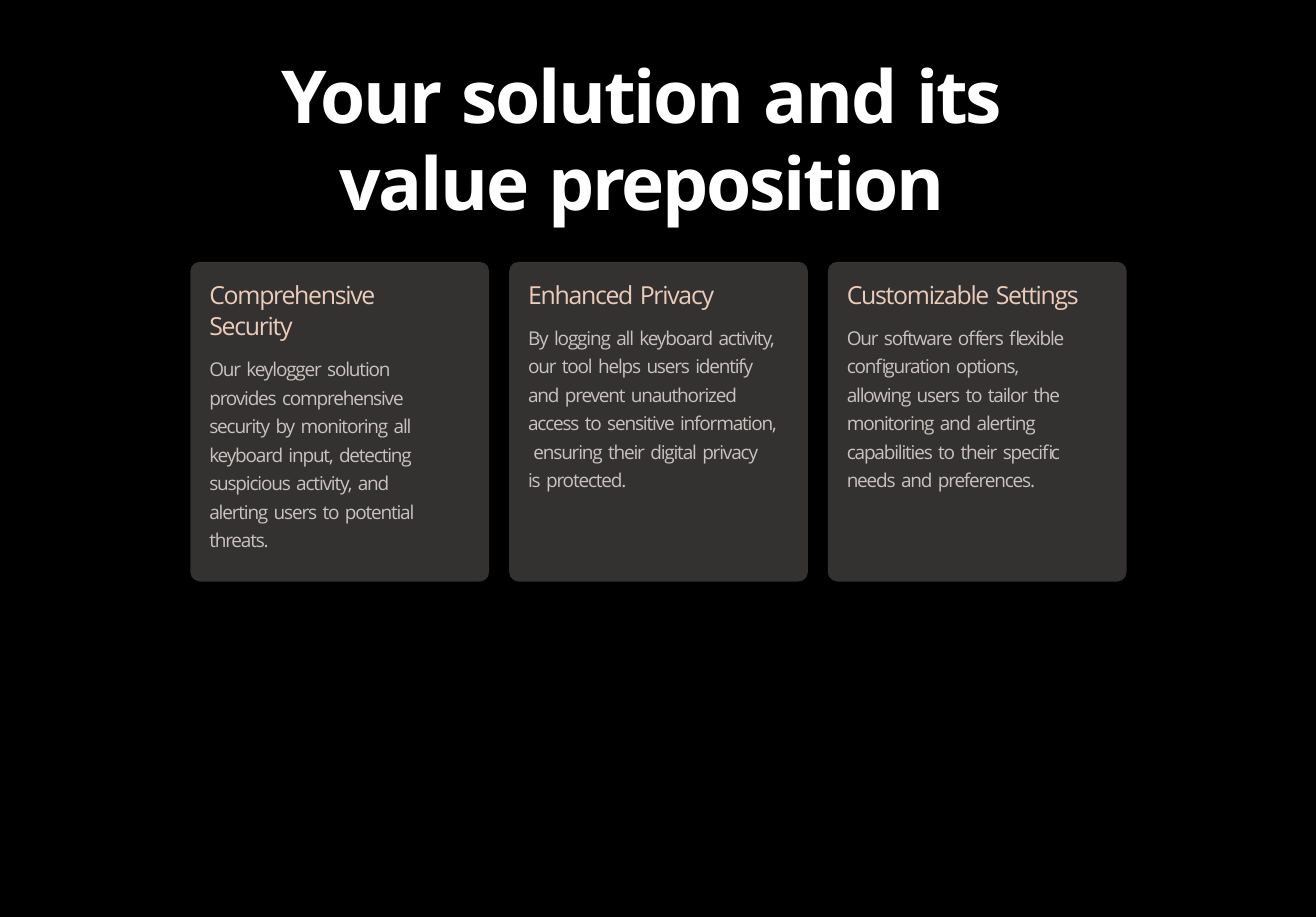
import dataclasses

import pptx
import pptx.dml.color
import pptx.enum.shapes
import pptx.enum.text
import pptx.slide
import pptx.text.text
import pptx.util

BLACK = pptx.dml.color.RGBColor(0x00, 0x00, 0x00)
WHITE = pptx.dml.color.RGBColor(0xFF, 0xFF, 0xFF)
CHARCOAL = pptx.dml.color.RGBColor(0x34, 0x31, 0x31)
PEACH = pptx.dml.color.RGBColor(0xEB, 0xCC, 0xBB)
GREY = pptx.dml.color.RGBColor(0xC9, 0xC2, 0xC0)

FONT = "Open Sans"
SLIDE_WIDTH, SLIDE_HEIGHT = 12.51, 8.72
GRID_LEFT, GRID_TOP = 1.81, 2.49
COLUMN, GUTTER, ROW = 2.84, 0.19, 3.04
PADDING_LEFT, PADDING_TOP = 0.18, 0.15
CORNER = 0.09


@dataclasses.dataclass(frozen=True)
class Card:
    """A benefit with its heading and description, broken into lines."""

    heading: str
    description: str


CARDS = [
    Card(
        "Comprehensive\vSecurity",
        "Our keylogger solution\vprovides comprehensive\vsecurity by monitoring all\v"
        "keyboard input, detecting\vsuspicious activity, and\v"
        "alerting users to potential\vthreats.",
    ),
    Card(
        "Enhanced Privacy",
        "By logging all keyboard activity,\vour tool helps users identify\v"
        "and prevent unauthorized\vaccess to sensitive information,\v"
        " ensuring their digital privacy\vis protected.",
    ),
    Card(
        "Customizable Settings",
        "Our software offers flexible\vconfiguration options,\v"
        "allowing users to tailor the\vmonitoring and alerting\v"
        "capabilities to their specific\vneeds and preferences.",
    ),
]


def write_text(
    paragraph: pptx.text.text._Paragraph,
    text: str,
    *,
    size: float,
    color: pptx.dml.color.RGBColor,
    tracking: float,
    space_tracking: float = 0,
    bold: bool = False,
    align: pptx.enum.text.PP_ALIGN = pptx.enum.text.PP_ALIGN.LEFT,
    line_spacing: float = 1.0,
    space_before: float = 0,
) -> None:
    """Fill a paragraph with text, tracking words and spaces separately."""
    paragraph.alignment = align
    paragraph.line_spacing = line_spacing
    paragraph.space_before = pptx.util.Pt(space_before)
    for row, line in enumerate(text.split("\v")):
        if row:
            paragraph.add_line_break()
        for piece in filter(None, line.replace(" ", "\v \v").split("\v")):
            run = paragraph.add_run()
            run.text = piece
            run.font.name = FONT
            run.font.size = pptx.util.Pt(size)
            run.font.bold = bold
            run.font.color.rgb = color
            spacing = space_tracking if piece == " " else tracking
            run._r.get_or_add_rPr().set("spc", str(round(spacing * 100)))


def prepare_frame(
    frame: pptx.text.text.TextFrame, anchor: pptx.enum.text.MSO_ANCHOR
) -> None:
    """Make a text frame wrap, without margins or automatic sizing."""
    frame.word_wrap = True
    frame.auto_size = pptx.enum.text.MSO_AUTO_SIZE.NONE
    frame.vertical_anchor = anchor
    frame.margin_left = frame.margin_right = 0
    frame.margin_top = frame.margin_bottom = 0


def add_title(slide: pptx.slide.Slide, text: str) -> None:
    """Place and format the title placeholder."""
    title = slide.shapes.title
    title.left, title.top = pptx.util.Inches(1.9), pptx.util.Inches(0.46)
    title.width, title.height = pptx.util.Inches(8.4), pptx.util.Inches(1.7)
    prepare_frame(title.text_frame, pptx.enum.text.MSO_ANCHOR.MIDDLE)
    write_text(
        title.text_frame.paragraphs[0], text, size=50, color=WHITE, tracking=-1.6,
        bold=True, align=pptx.enum.text.PP_ALIGN.CENTER,
    )


def add_card(slide: pptx.slide.Slide, card: Card, column: int) -> None:
    """Draw a card and its text in a column of the grid."""
    left = GRID_LEFT + column * (COLUMN + GUTTER)
    panel = slide.shapes.add_shape(
        pptx.enum.shapes.MSO_SHAPE.ROUNDED_RECTANGLE,
        pptx.util.Inches(left), pptx.util.Inches(GRID_TOP),
        pptx.util.Inches(COLUMN), pptx.util.Inches(ROW),
    )
    panel.adjustments[0] = CORNER / COLUMN
    panel.shadow.inherit = False
    panel.fill.solid()
    panel.fill.fore_color.rgb = CHARCOAL
    panel.line.fill.background()

    box = slide.shapes.add_textbox(
        pptx.util.Inches(left + PADDING_LEFT), pptx.util.Inches(GRID_TOP + PADDING_TOP),
        pptx.util.Inches(COLUMN - PADDING_LEFT),
        pptx.util.Inches(ROW - 2 * PADDING_TOP),
    )
    frame = box.text_frame
    prepare_frame(frame, pptx.enum.text.MSO_ANCHOR.TOP)
    write_text(
        frame.paragraphs[0], card.heading, size=17, color=PEACH, tracking=-0.9,
        line_spacing=1.06,
    )
    write_text(
        frame.add_paragraph(), card.description, size=13, color=GREY, tracking=-0.8,
        space_tracking=0.3, line_spacing=1.25, space_before=7.7,
    )


def main() -> None:
    """Build the value proposition slide and save it."""
    presentation = pptx.Presentation()
    presentation.slide_width = pptx.util.Inches(SLIDE_WIDTH)
    presentation.slide_height = pptx.util.Inches(SLIDE_HEIGHT)
    slide = presentation.slides.add_slide(presentation.slide_layouts[5])
    slide.background.fill.solid()
    slide.background.fill.fore_color.rgb = BLACK
    add_title(slide, "Your solution and its value preposition")
    for column, card in enumerate(CARDS):
        add_card(slide, card, column)
    presentation.save("out.pptx")


if __name__ == "__main__":
    main()
